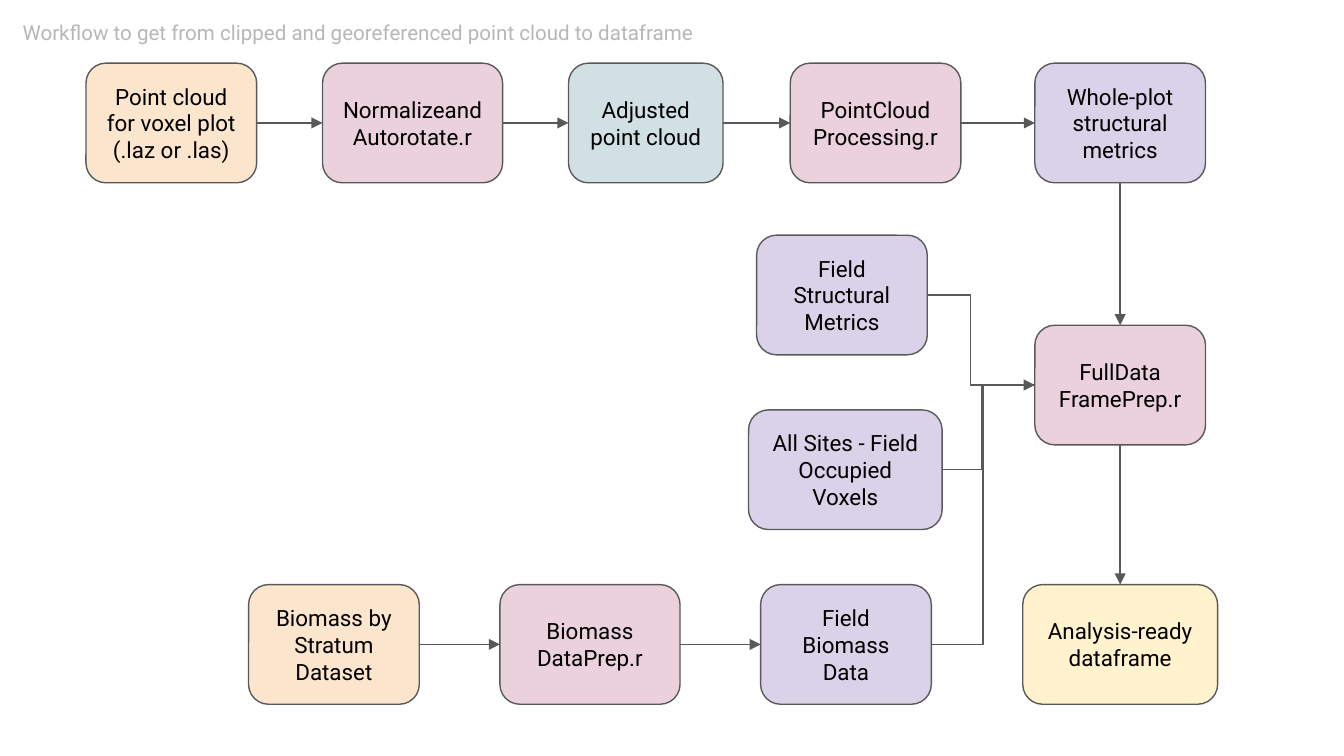
from lxml import etree
from pptx import Presentation
from pptx.dml.color import RGBColor
from pptx.enum.shapes import MSO_CONNECTOR as Conn, MSO_SHAPE as Shape
from pptx.enum.text import MSO_ANCHOR, MSO_AUTO_SIZE, PP_ALIGN
from pptx.oxml.ns import qn
from pptx.util import Inches, Pt

FONT = "Roboto"
BLACK = RGBColor(0x00, 0x00, 0x00)
TITLE_GRAY = RGBColor(0xB7, 0xB7, 0xB7)
LINE_GRAY = RGBColor(0x59, 0x59, 0x59)
ORANGE = RGBColor(0xFC, 0xE5, 0xCD)
PINK = RGBColor(0xEA, 0xD1, 0xDC)
TEAL = RGBColor(0xD0, 0xE0, 0xE3)
PURPLE = RGBColor(0xD9, 0xD2, 0xE9)
YELLOW = RGBColor(0xFF, 0xF2, 0xCC)

SLIDE_W = 10
SLIDE_H = SLIDE_W * 9 / 16
BOX_W, WIDE_W, BOX_H = 1.27, 1.34, 0.89
ROWS = [0.47, 1.75, 3.05, 4.35]
TOP, BOTTOM, LEFT, RIGHT = 0, 2, 1, 3  # connection sites of a rounded rectangle

# name: (left, top, width, fill, text); "\n" parts paragraphs, "\v" parts lines
BOXES = {
    "cloud": (0.64, ROWS[0], BOX_W, ORANGE, "Point cloud for voxel plot (.laz or .las)"),
    "normalize": (2.4, ROWS[0], WIDE_W, PINK, "Normalizeand\vAutorotate.r"),
    "adjusted": (4.23, ROWS[0], 1.15, TEAL, "Adjusted point cloud"),
    "processing": (5.88, ROWS[0], BOX_W, PINK, "PointCloud\nProcessing.r"),
    "whole_plot": (7.7, ROWS[0], BOX_W, PURPLE, "Whole-plot structural metrics"),
    "structural": (5.63, ROWS[1], BOX_W, PURPLE, "Field Structural Metrics"),
    "voxels": (5.57, ROWS[2], 1.44, PURPLE, "All Sites - Field Occupied Voxels"),
    "full_data": (7.7, 2.42, BOX_W, PINK, "FullData\vFramePrep.r"),
    "stratum": (1.85, ROWS[3], BOX_W, ORANGE, "Biomass by Stratum Dataset"),
    "biomass_prep": (3.72, ROWS[3], WIDE_W, PINK, "Biomass\vDataPrep.r"),
    "biomass": (5.66, ROWS[3], BOX_W, PURPLE, "Field Biomass Data"),
    "ready": (7.61, ROWS[3], 1.45, YELLOW, "Analysis-ready dataframe"),
}
ACROSS = [
    ("cloud", "normalize"), ("normalize", "adjusted"), ("adjusted", "processing"),
    ("processing", "whole_plot"), ("stratum", "biomass_prep"), ("biomass_prep", "biomass"),
]
DOWN = [("whole_plot", "full_data"), ("full_data", "ready")]
# source, share of the width before the bend, arrowhead
ELBOWS = [("structural", 0.4, True), ("voxels", 0.43, False), ("biomass", 0.5, False)]


def add_text(tf, text, size, color, align):
    tf.word_wrap = True
    tf.margin_left = tf.margin_right = tf.margin_top = tf.margin_bottom = Inches(0.1)
    for i, paragraph in enumerate(text.split("\n")):
        p = tf.add_paragraph() if i else tf.paragraphs[0]
        p.alignment = align
        for j, line in enumerate(paragraph.split("\v")):
            if j:
                p.add_line_break()
            r = p.add_run()
            r.text = line
            r.font.name = FONT
            r.font.size = Pt(size)
            r.font.color.rgb = color


def add_box(s, left, top, width, fill, text):
    sp = s.shapes.add_shape(Shape.ROUNDED_RECTANGLE, Inches(left), Inches(top),
                            Inches(width), Inches(BOX_H))
    sp.shadow.inherit = False
    sp.fill.solid()
    sp.fill.fore_color.rgb = fill
    sp.line.color.rgb = LINE_GRAY
    sp.line.width = Pt(0.75)
    sp.text_frame.vertical_anchor = MSO_ANCHOR.MIDDLE
    add_text(sp.text_frame, text, 12, BLACK, PP_ALIGN.CENTER)
    return sp


def connect(s, source, start, target, end, bend=None, arrow=True):
    """Join two boxes, straight or with an elbow at the share given by bend."""
    kind = Conn.STRAIGHT if bend is None else Conn.ELBOW
    line = s.shapes.add_connector(kind, 0, 0, 0, 0)
    line.begin_connect(source, start)
    line.end_connect(target, end)
    line.line.color.rgb = LINE_GRAY
    line.line.width = Pt(0.75)
    sp_pr = line._element.spPr
    if arrow:
        etree.SubElement(line.line._get_or_add_ln(), qn("a:tailEnd"), type="triangle")
    etree.SubElement(sp_pr, qn("a:effectLst"))
    if bend is not None:
        guides = sp_pr.find(qn("a:prstGeom")).get_or_add_avLst()
        etree.SubElement(guides, qn("a:gd"), name="adj1", fmla=f"val {round(bend * 100000)}")


def add_title(s, text):
    sp = s.shapes.add_textbox(Inches(0.07), Inches(0.06), Inches(6.67), Inches(0.39))
    add_text(sp.text_frame, text, 11, TITLE_GRAY, PP_ALIGN.LEFT)
    sp.text_frame.auto_size = MSO_AUTO_SIZE.SHAPE_TO_FIT_TEXT


def main():
    prs = Presentation()
    prs.slide_width, prs.slide_height = Inches(SLIDE_W), Inches(SLIDE_H)
    s = prs.slides.add_slide(prs.slide_layouts[6])
    boxes = {name: add_box(s, *box) for name, box in BOXES.items()}
    for source, target in ACROSS:
        connect(s, boxes[source], RIGHT, boxes[target], LEFT)
    for source, target in DOWN:
        connect(s, boxes[source], BOTTOM, boxes[target], TOP)
    for source, bend, arrow in ELBOWS:
        connect(s, boxes[source], RIGHT, boxes["full_data"], LEFT, bend, arrow)
    add_title(s, "Workflow to get from clipped and georeferenced point cloud to dataframe")
    prs.save("out.pptx")


if __name__ == "__main__":
    main()
